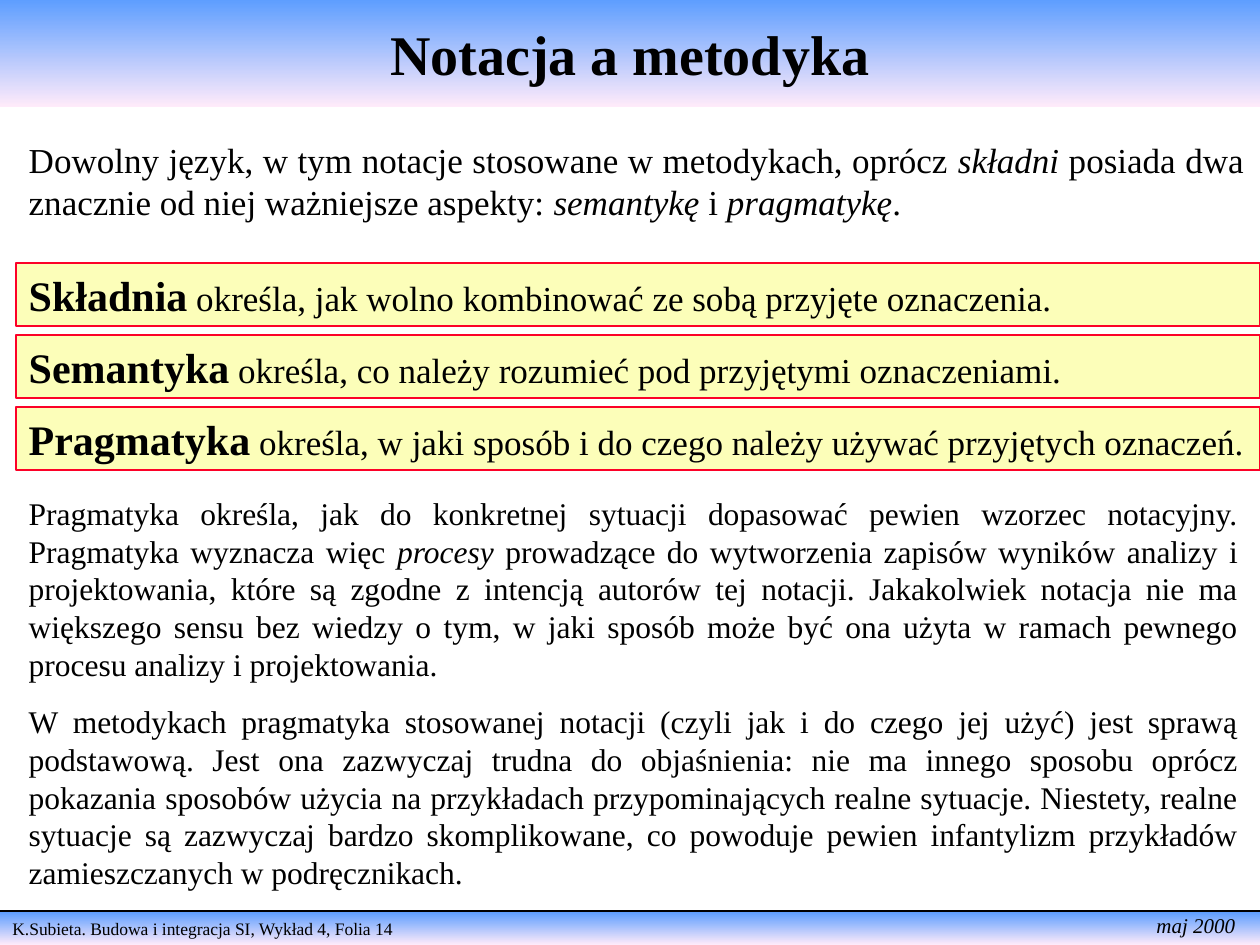
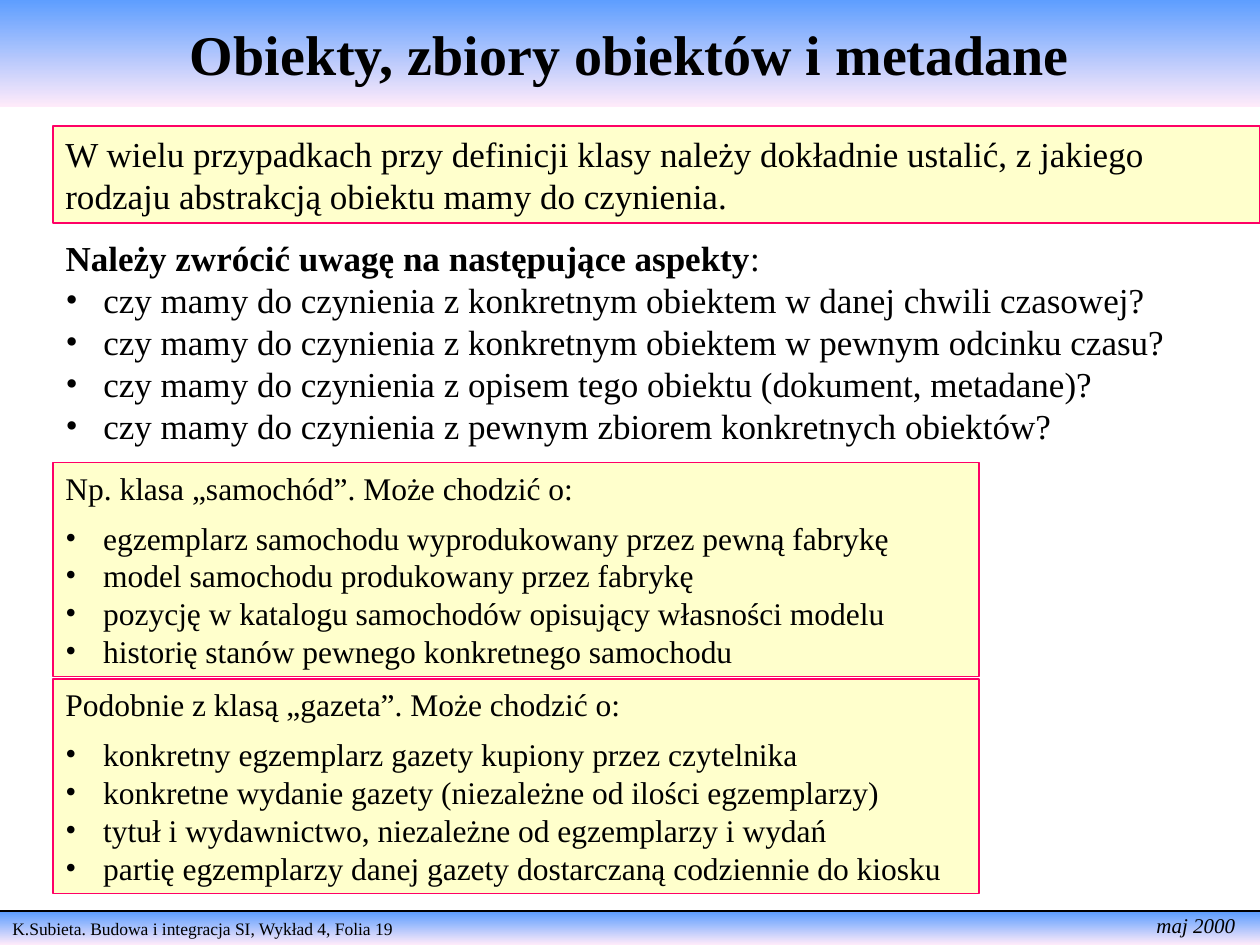
from lxml.etree import SubElement
from pptx import Presentation
from pptx.dml.color import RGBColor
from pptx.enum.shapes import MSO_CONNECTOR, MSO_SHAPE
from pptx.enum.text import MSO_ANCHOR, MSO_AUTO_SIZE, PP_ALIGN
from pptx.oxml.ns import qn
from pptx.util import Pt

PX = 9144  # 100 px to the inch
FONT = "Times New Roman"
BULLET_INDENT = 30
COLORS = {
    "text": "000000",
    "band_top": "5E9EFF",
    "band_bottom": "FFEBFA",
    "term_fill": "FCFEB9",
    "term_line": "FC0128",
    "note_fill": "FFFFCC",
    "note_line": "FF0066",
}
RGB = {name: RGBColor.from_string(value) for name, value in COLORS.items()}


def write(frame, text, size=20, bold=False, italic=False, align=PP_ALIGN.LEFT,
          bullet=False, after=0, emphasis="italic", emphasis_size=None):
    """Add a paragraph; parts between asterisks get the emphasis."""
    paragraph = frame.add_paragraph() if frame.text else frame.paragraphs[0]
    props = paragraph._p.get_or_add_pPr()
    indent = BULLET_INDENT * PX if bullet else 0
    props.set("marL", str(indent))
    props.set("indent", str(-indent))
    if bullet:
        SubElement(props, qn("a:buFont"), typeface=FONT)
        SubElement(props, qn("a:buChar"), char="•")
    else:
        SubElement(props, qn("a:buNone"))
    paragraph.alignment = align
    paragraph.space_before = Pt(0)
    paragraph.space_after = Pt(after)
    for position, part in enumerate(text.split("*")):
        if not part:
            continue
        run = paragraph.add_run()
        run.text = part
        font = run.font
        font.name, font.size = FONT, Pt(size)
        font.bold, font.italic = bold, italic
        font.color.rgb = RGB["text"]
        if position % 2:
            setattr(font, emphasis, True)
            font.size = Pt(emphasis_size or size)


def add_box(slide, left, top, width, height, style=None, line_width=1):
    """Add a text box, or a filled and outlined one, and return its frame."""
    bounds = [n * PX for n in (left, top, width, height)]
    if style:
        box = slide.shapes.add_shape(MSO_SHAPE.RECTANGLE, *bounds)
        box.shadow.inherit = False
        box.fill.solid()
        box.fill.fore_color.rgb = RGB[style + "_fill"]
        box.line.color.rgb = RGB[style + "_line"]
        box.line.width = Pt(line_width)
    else:
        box = slide.shapes.add_textbox(*bounds)
    box.text_frame.word_wrap = True
    box.text_frame.vertical_anchor = MSO_ANCHOR.TOP
    return box.text_frame


prs = Presentation()
prs.slide_width, prs.slide_height = 1000 * PX, 750 * PX
TITLE_AND_BODY, TITLE_ONLY = prs.slide_layouts[1], prs.slide_layouts[5]

# Shared title band, footer band, rule and date
slides = []
for layout, heading, folio in [
    (TITLE_ONLY, "Notacja a metodyka", 14),
    (TITLE_AND_BODY, "Obiekty, zbiory obiektów i metadane", 19),
]:
    slide = prs.slides.add_slide(layout)
    slides.append(slide)

    title = slide.shapes.title
    title.left, title.top, title.width, title.height = 0, 0, 1000 * PX, 85 * PX
    title.text_frame.auto_size = MSO_AUTO_SIZE.NONE
    title.text_frame.vertical_anchor = MSO_ANCHOR.MIDDLE
    write(title.text_frame, heading, size=32, bold=True, align=PP_ALIGN.CENTER)

    footer = slide.shapes.add_shape(
        MSO_SHAPE.RECTANGLE, 0, 724 * PX, 1000 * PX, 26 * PX)
    footer.shadow.inherit = False
    footer.line.fill.background()
    footer.text_frame.vertical_anchor = MSO_ANCHOR.TOP
    write(footer.text_frame,
          f"K.Subieta. Budowa i integracja SI, Wykład 4, Folia {folio}", size=10)

    for band in (title, footer):
        band.fill.gradient()
        band.fill.gradient_angle = 270
        for stop, offset, color in zip(
                band.fill.gradient_stops, (0, 1), ("band_top", "band_bottom")):
            stop.position = offset
            stop.color.rgb = RGB[color]

    rule = slide.shapes.add_connector(
        MSO_CONNECTOR.STRAIGHT, 0, 723 * PX, 1000 * PX, 723 * PX)
    rule.line.color.rgb = RGB["text"]
    rule.line.width = Pt(1)
    SubElement(rule._element.spPr, qn("a:effectLst"))

    date = add_box(slide, 908, 719, 92, 30)
    write(date, "maj 2000", size=12, italic=True)

notation, objects = slides

# Slide 1: syntax, semantics and pragmatics
intro = add_box(notation, 13, 105, 984, 77)
write(intro, "Dowolny język, w tym notacje stosowane w metodykach, oprócz *składni* "
      "posiada dwa znacznie od niej ważniejsze aspekty: *semantykę* i *pragmatykę*.",
      align=PP_ALIGN.JUSTIFY)

definitions = [
    "*Składnia* określa, jak wolno kombinować ze sobą przyjęte oznaczenia.",
    "*Semantyka* określa, co należy rozumieć pod przyjętymi oznaczeniami.",
    "*Pragmatyka* określa, w jaki sposób i do czego należy używać przyjętych oznaczeń.",
]
for row, definition in enumerate(definitions):
    term = add_box(notation, 13, 209 + 57 * row, 987, 50, style="term")
    write(term, definition, emphasis="bold", emphasis_size=24)

explanation = add_box(notation, 13, 387, 980, 326)
for text in [
    "Pragmatyka określa, jak do konkretnej sytuacji dopasować pewien wzorzec "
    "notacyjny. Pragmatyka wyznacza więc *procesy* prowadzące do wytworzenia "
    "zapisów wyników analizy i projektowania, które są zgodne z intencją autorów "
    "tej notacji. Jakakolwiek notacja nie ma większego sensu bez wiedzy o tym, w "
    "jaki sposób może być ona użyta w ramach pewnego procesu analizy i projektowania.",
    "W metodykach pragmatyka stosowanej notacji (czyli jak i do czego jej użyć) jest "
    "sprawą podstawową. Jest ona zazwyczaj trudna do objaśnienia: nie ma innego "
    "sposobu oprócz pokazania sposobów użycia na przykładach przypominających realne "
    "sytuacje. Niestety, realne sytuacje są zazwyczaj bardzo skomplikowane, co "
    "powoduje pewien infantylizm przykładów zamieszczanych w podręcznikach.",
]:
    write(explanation, text, size=18, align=PP_ALIGN.JUSTIFY, after=11)

# Slide 2: kinds of object abstraction
premise = add_box(objects, 42, 100, 958, 77, style="note", line_width=0.75)
write(premise, "W wielu przypadkach przy definicji klasy należy dokładnie ustalić, "
      "z jakiego rodzaju abstrakcją obiektu mamy do czynienia.")

aspects = objects.placeholders[1]
aspects.left, aspects.top = 42 * PX, 183 * PX
aspects.width, aspects.height = 935 * PX, 177 * PX
aspects.text_frame.auto_size = MSO_AUTO_SIZE.NONE
write(aspects.text_frame, "*Należy zwrócić uwagę na następujące aspekty*:",
      emphasis="bold")
for aspect in [
    "konkretnym obiektem w danej chwili czasowej?",
    "konkretnym obiektem w pewnym odcinku czasu?",
    "opisem tego obiektu (dokument, metadane)?",
    "pewnym zbiorem konkretnych obiektów?",
]:
    write(aspects.text_frame, f"czy mamy do czynienia z {aspect}", bullet=True)

examples = {
    "Np. klasa „samochód”. Może chodzić o:": [
        "egzemplarz samochodu wyprodukowany przez pewną fabrykę",
        "model samochodu produkowany przez fabrykę",
        "pozycję w katalogu samochodów opisujący własności modelu",
        "historię stanów pewnego konkretnego samochodu",
    ],
    "Podobnie z klasą „gazeta”. Może chodzić o:": [
        "konkretny egzemplarz gazety kupiony przez czytelnika",
        "konkretne wydanie gazety (niezależne od ilości egzemplarzy)",
        "tytuł i wydawnictwo, niezależne od egzemplarzy i wydań",
        "partię egzemplarzy danej gazety dostarczaną codziennie do kiosku",
    ],
}
for row, (lead, meanings) in enumerate(examples.items()):
    example = add_box(objects, 42, 367 + 172 * row, 735, 170,
                      style="note", line_width=0.75)
    write(example, lead, size=18, after=7)
    for meaning in meanings:
        write(example, meaning, size=18, bullet=True)

prs.save("out.pptx")
